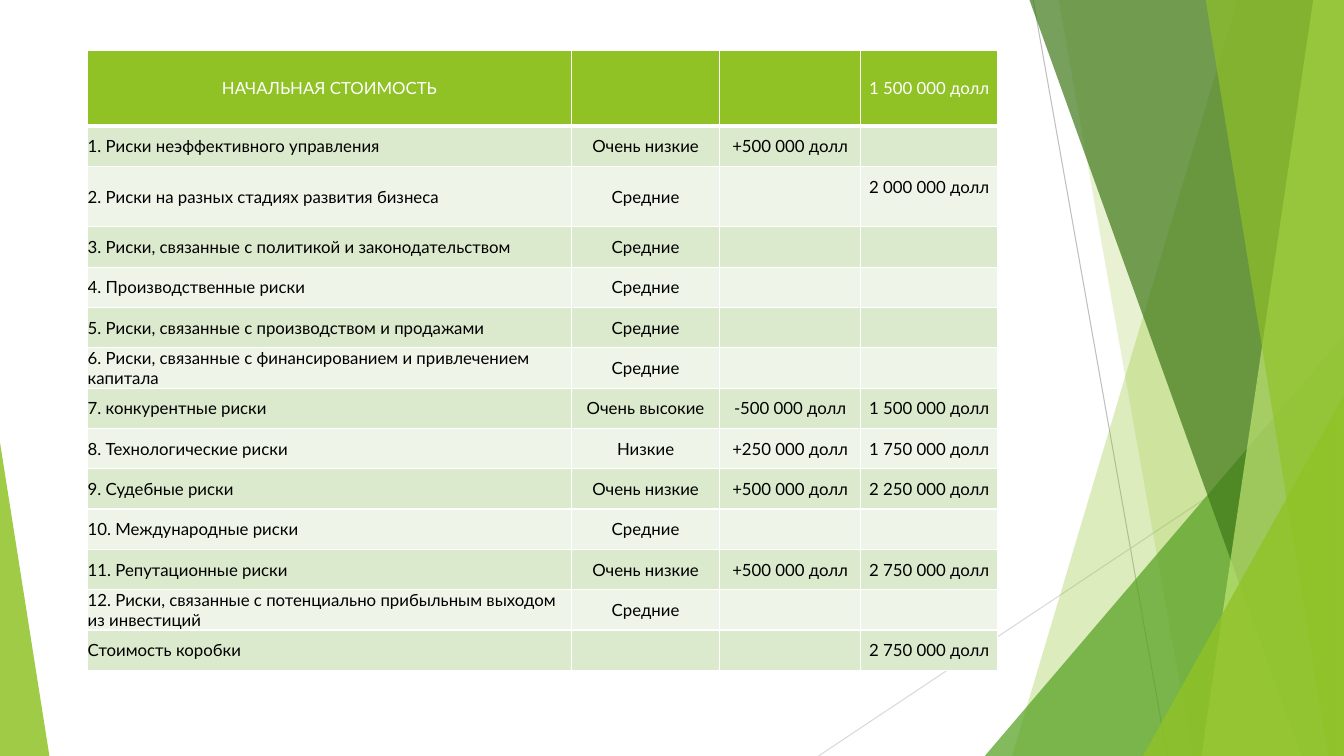
"""Build the slide with the risk-adjusted valuation table on a faceted green backdrop."""
from dataclasses import dataclass

from lxml import etree
from pptx import Presentation
from pptx.dml.color import RGBColor
from pptx.enum.shapes import MSO_CONNECTOR, MSO_SHAPE
from pptx.enum.text import MSO_ANCHOR, PP_ALIGN
from pptx.oxml.ns import qn
from pptx.util import Pt

STRAIGHT = MSO_CONNECTOR.STRAIGHT
TRIANGLE = MSO_SHAPE.ISOSCELES_TRIANGLE
MIDDLE = MSO_ANCHOR.MIDDLE
LEFT, CENTER = PP_ALIGN.LEFT, PP_ALIGN.CENTER

WIDTH, HEIGHT = 960, 540
BAND_TOP = -0.72
FONT, FONT_SIZE = "Lato", 12
LINE_HEIGHT = 14.4
GREEN, WHITE, BLACK = "90C226", "FFFFFF", "000000"
ROW_FILLS = ("EEF4E8", "DBE9CD")


@dataclass
class Ray:
    x1: float
    y1: float
    x2: float
    y2: float
    color: str


@dataclass
class Band:
    top_x: float
    bottom_x: float
    color: str
    opacity: int


@dataclass
class Wedge:
    left: float
    top: float
    width: float
    apex: float
    color: str
    opacity: int


@dataclass
class Risk:
    name: str
    level: str = ""
    change: str = ""
    value: str = ""
    height: float = 28.8
    value_bottom: float = 0


RAYS = [
    Ray(738, 0, 833.76, HEIGHT, "BFBFBF"),
    Ray(WIDTH, 290.16, 584.64, HEIGHT, "D9D9D9"),
]

FACETS = [
    Band(884.16, 722.88, GREEN, 30),
    Band(756, 851.76, GREEN, 20),
    Wedge(703.44, 239.76, 256.32, 1, "54A021", 72),
    Band(735.12, 929.52, "3F7819", 70),
    Band(938.16, 858.24, "C0E474", 70),
    Band(861.12, 948.96, GREEN, 65),
    Wedge(816.48, 282.96, 143.28, 1, GREEN, 80),
    Wedge(0, 316.08, 35.28, 0, GREEN, 85),
]

COLUMNS = (345.6, 105.84, 100.8, 97.92)
RISKS = [
    Risk("НАЧАЛЬНАЯ СТОИМОСТЬ", value="1 500 000 долл", height=54),
    Risk("1. Риски неэффективного управления", "Очень низкие", "+500 000 долл"),
    Risk("2. Риски на разных стадиях развития бизнеса", "Средние", value="2 000 000 долл",
         height=43.2, value_bottom=LINE_HEIGHT),
    Risk("3. Риски, связанные с политикой и законодательством", "Средние"),
    Risk("4. Производственные риски", "Средние"),
    Risk("5. Риски, связанные с производством и продажами", "Средние"),
    Risk("6. Риски, связанные с финансированием и привлечением капитала", "Средние"),
    Risk("7. конкурентные риски", "Очень высокие", "-500 000 долл", "1 500 000 долл"),
    Risk("8. Технологические риски", "Низкие", "+250 000 долл", "1 750 000 долл"),
    Risk("9. Судебные риски", "Очень низкие", "+500 000 долл", "2 250 000 долл"),
    Risk("10. Международные риски", "Средние"),
    Risk("11. Репутационные риски", "Очень низкие", "+500 000 долл", "2 750 000 долл"),
    Risk("12. Риски, связанные с потенциально прибыльным выходом из инвестиций", "Средние"),
    Risk("Стоимость коробки", value="2 750 000 долл"),
]


def paint(fill, color: str) -> None:
    fill.solid()
    fill.fore_color.rgb = RGBColor.from_string(color)


def draw_ray(shapes, ray: Ray) -> None:
    s = shapes.add_connector(STRAIGHT, Pt(ray.x1), Pt(ray.y1), Pt(ray.x2), Pt(ray.y2))
    paint(s.line.fill, ray.color)
    s.line.width = Pt(0.75)
    etree.SubElement(s._element.spPr, qn("a:effectLst"))


def add_band(shapes, band: Band):
    top, right, bottom = Pt(BAND_TOP), Pt(WIDTH), Pt(HEIGHT)
    builder = shapes.build_freeform(Pt(band.top_x), top)
    builder.add_line_segments([(right, top), (right, bottom), (Pt(band.bottom_x), bottom)])
    return builder.convert_to_shape()


def add_wedge(shapes, wedge: Wedge):
    s = shapes.add_shape(TRIANGLE, Pt(wedge.left), Pt(wedge.top),
                         Pt(wedge.width), Pt(HEIGHT - wedge.top))
    s.adjustments[0] = wedge.apex
    return s


def draw_facet(shapes, facet: Band | Wedge) -> None:
    s = add_band(shapes, facet) if isinstance(facet, Band) else add_wedge(shapes, facet)
    s.shadow.inherit = False
    s.line.fill.background()
    paint(s.fill, facet.color)
    color = s._element.spPr.find(qn("a:solidFill"))[0]
    etree.SubElement(color, qn("a:alpha"), val=str(facet.opacity * 1000))


def add_borders(cell, top: float, bottom: float) -> None:
    tcPr = cell._tc.get_or_add_tcPr()
    for side, width in (("L", 1), ("R", 1), ("T", top), ("B", bottom)):
        ln = etree.SubElement(tcPr, qn(f"a:ln{side}"), w=str(Pt(width)))
        fill = etree.SubElement(ln, qn("a:solidFill"))
        etree.SubElement(fill, qn("a:srgbClr"), val=WHITE)


def fill_cell(cell, text: str, row: int, align) -> None:
    add_borders(cell, 3 if row == 1 else 1, 3 if row == 0 else 1)
    paint(cell.fill, ROW_FILLS[row % 2] if row else GREEN)
    cell.vertical_anchor = MIDDLE
    cell.margin_left = cell.margin_right = cell.margin_top = cell.margin_bottom = 0
    cell.text = text
    p = cell.text_frame.paragraphs[0]
    p.alignment = align
    for r in p.runs:
        r.font.name = FONT
        r.font.size = Pt(FONT_SIZE)
        r.font.bold = False
        r.font.color.rgb = RGBColor.from_string(BLACK if row else WHITE)


def draw_table(shapes, risks: list[Risk]) -> None:
    height = sum(risk.height for risk in risks)
    frame = shapes.add_table(len(risks), len(COLUMNS), Pt(62.64), Pt(36),
                             Pt(sum(COLUMNS)), Pt(height))
    table = frame.table
    for column, width in zip(table.columns, COLUMNS):
        column.width = Pt(width)
    for i, risk in enumerate(risks):
        table.rows[i].height = Pt(risk.height)
        for j, text in enumerate((risk.name, risk.level, risk.change, risk.value)):
            fill_cell(table.cell(i, j), text, i, LEFT if i and j == 0 else CENTER)
        table.cell(i, 3).margin_bottom = Pt(risk.value_bottom)


def main() -> None:
    prs = Presentation()
    prs.slide_width, prs.slide_height = Pt(WIDTH), Pt(HEIGHT)
    slide = prs.slides.add_slide(prs.slide_layouts[6])
    paint(slide.background.fill, WHITE)
    for ray in RAYS:
        draw_ray(slide.shapes, ray)
    for facet in FACETS:
        draw_facet(slide.shapes, facet)
    draw_table(slide.shapes, RISKS)
    prs.save("out.pptx")


if __name__ == "__main__":
    main()
